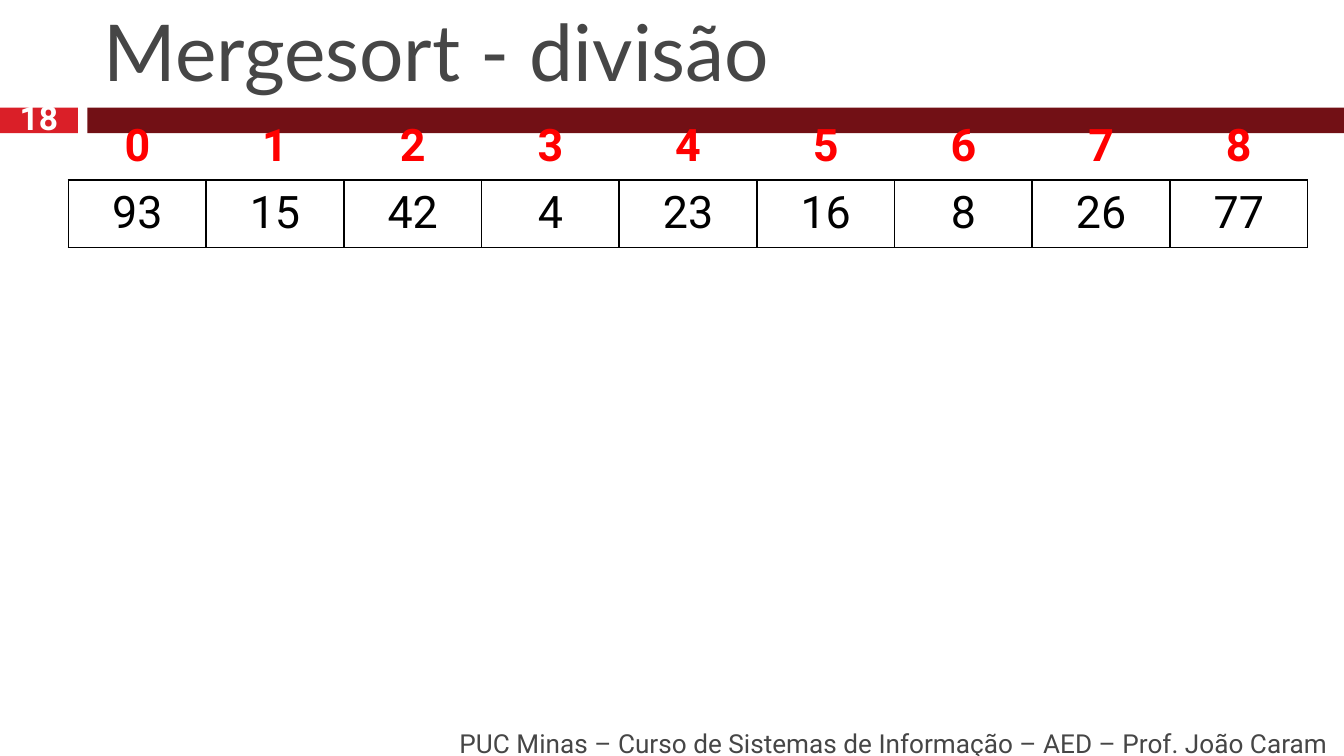
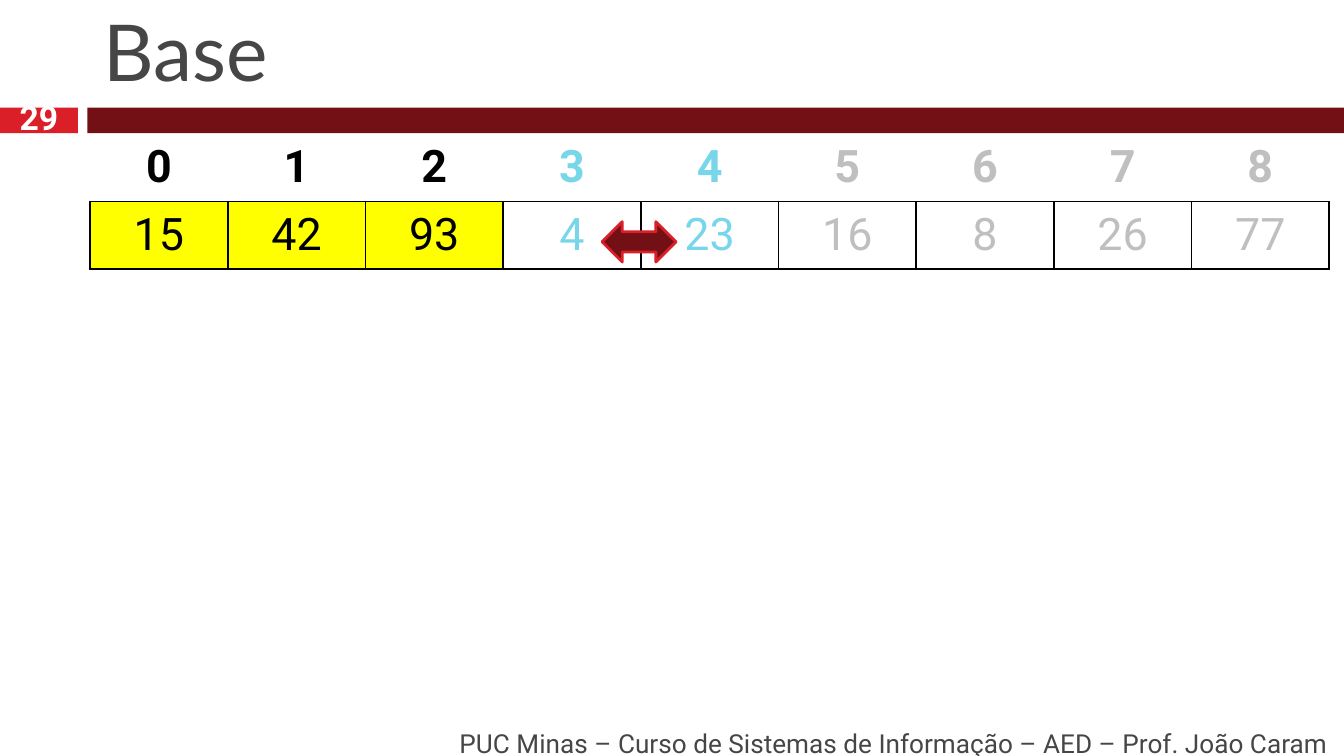
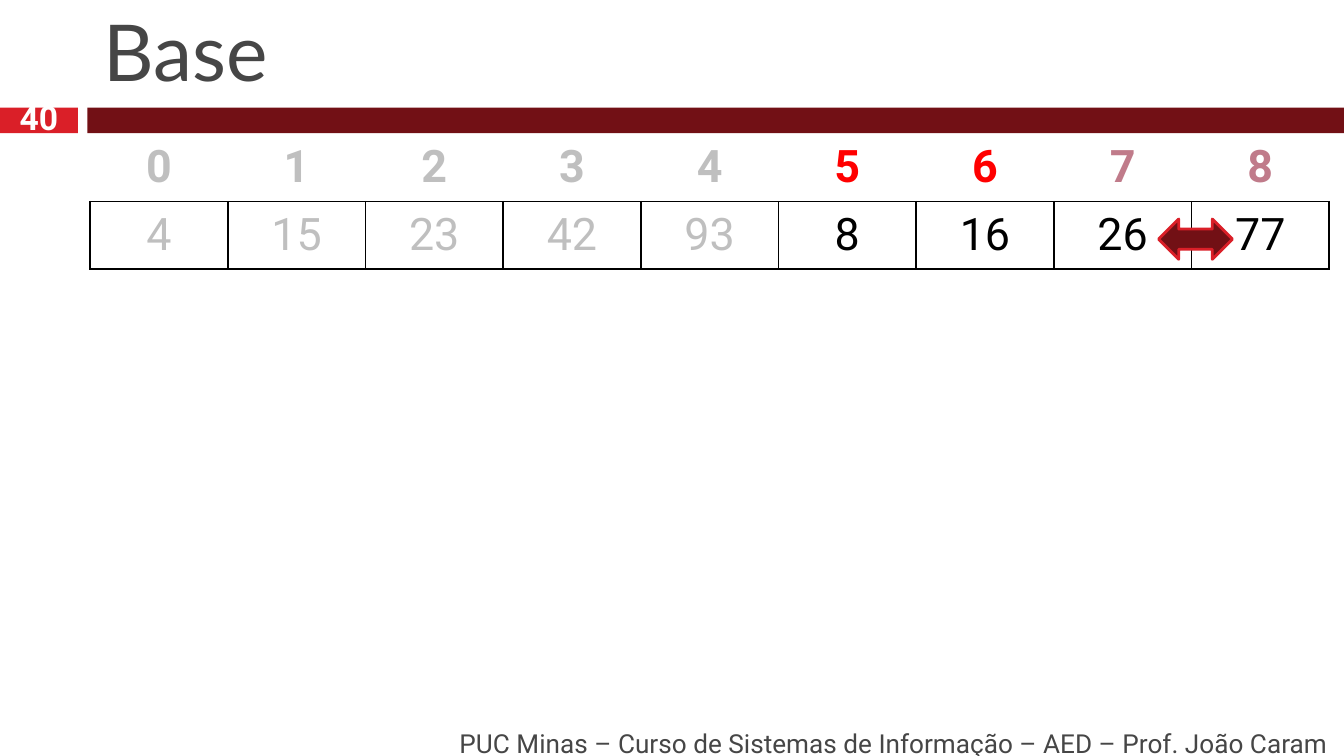
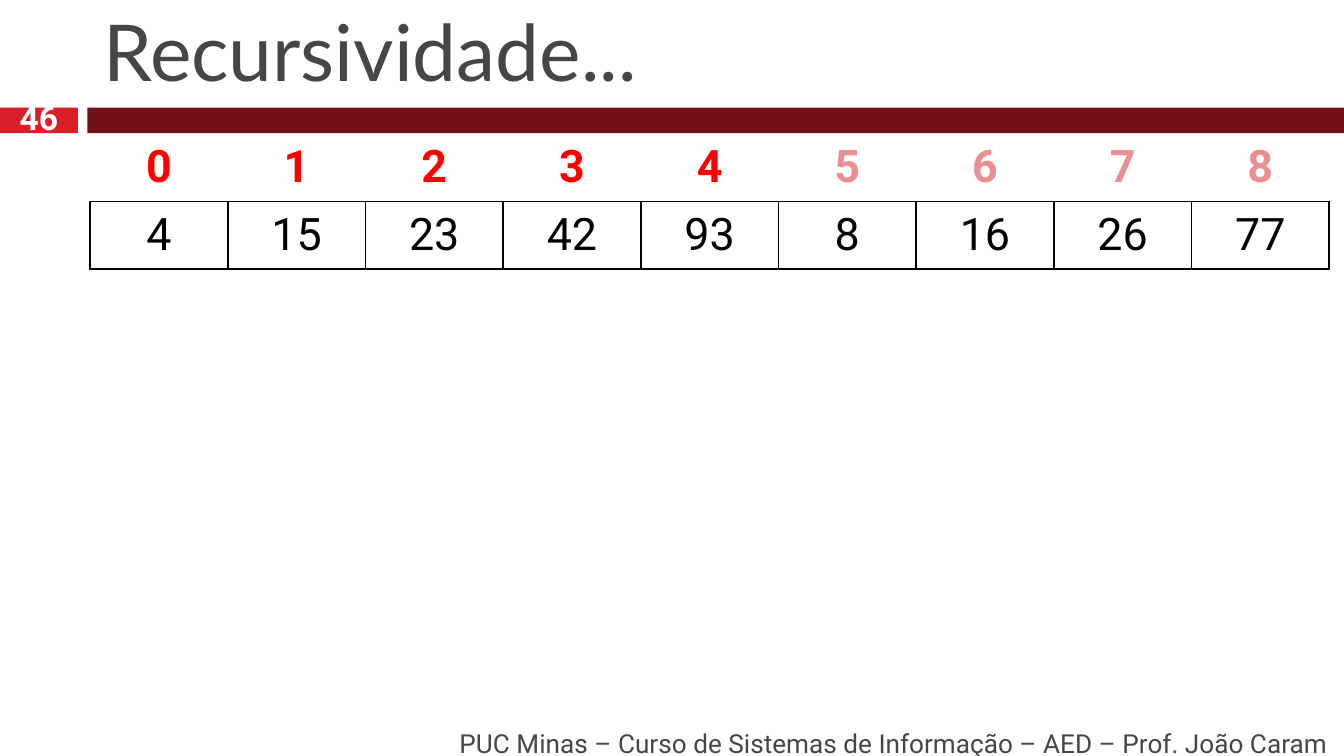
from dataclasses import dataclass
from typing import Optional

from lxml.etree import SubElement
from pptx import Presentation
from pptx.dml.color import RGBColor
from pptx.enum.shapes import MSO_SHAPE
from pptx.enum.text import MSO_ANCHOR, MSO_AUTO_SIZE, PP_ALIGN
from pptx.oxml.ns import qn
from pptx.util import Inches, Pt

BLACK = RGBColor(0x00, 0x00, 0x00)
WHITE = RGBColor(0xFF, 0xFF, 0xFF)
DARK_GREY = RGBColor(0x46, 0x46, 0x46)
LIGHT_GREY = RGBColor(0xBF, 0xBF, 0xBF)
CRIMSON = RGBColor(0xDA, 0x1F, 0x28)
MAROON = RGBColor(0x72, 0x10, 0x15)
RED = RGBColor(0xFF, 0x00, 0x00)
PINK = RGBColor(0xEC, 0x8F, 0x93)
MAUVE = RGBColor(0xC0, 0x7B, 0x8A)
SKY = RGBColor(0x78, 0xD6, 0xEA)
YELLOW = RGBColor(0xFF, 0xFF, 0x00)

TITLE_FONT = "Lato"
BODY_FONT = "Roboto"
FOOTER = "PUC Minas – Curso de Sistemas de Informação – AED – Prof. João Caram"

SLIDE_WIDTH = Inches(10)
SLIDE_HEIGHT = SLIDE_WIDTH * 9 // 16
ARRAY_WIDTH = Inches(9.22)
ARRAY_HEIGHT = Inches(1)
ROW_HEIGHT = Inches(0.41)
BORDER_WIDTH = Pt(1)


@dataclass(frozen=True)
class Box:
    left: float
    top: float
    width: float
    height: float

    def lengths(self) -> tuple:
        return tuple(map(Inches, (self.left, self.top, self.width, self.height)))


@dataclass(frozen=True)
class Step:
    """One state of the array; the colour lists run from left to right."""
    title: str
    number: int
    values: list[int]
    index_colors: list[RGBColor]
    value_colors: list[RGBColor]
    left: float = 0.67
    top: float = 1.0
    sorted_count: int = 0
    swap: Optional[Box] = None


NUMBER_BAND = Box(0, 0.8, 0.58, 0.19)
TITLE_BAND = Box(0.65, 0.8, 9.35, 0.19)
TITLE_BOX = Box(0.67, 0.13, 9.22, 0.64)
FOOTER_BOX = Box(1.06, 5.38, 8.92, 0.3)
NUMBER_BOX = Box(0, 0.77, 0.58, 0.2)

SWAP_COLORS = [BLACK] * 3 + [SKY] * 2 + [LIGHT_GREY] * 4

STEPS = [
    Step("Mergesort - divisão", 18, [93, 15, 42, 4, 23, 16, 8, 26, 77],
         [RED] * 9, [BLACK] * 9, left=0.51, top=0.84),
    Step("Base", 29, [15, 42, 93, 4, 23, 16, 8, 26, 77],
         SWAP_COLORS, SWAP_COLORS,
         sorted_count=3, swap=Box(4.48, 1.65, 0.55, 0.3)),
    Step("Base", 40, [4, 15, 23, 42, 93, 8, 16, 26, 77],
         [LIGHT_GREY] * 5 + [RED] * 2 + [MAUVE] * 2,
         [LIGHT_GREY] * 5 + [BLACK] * 4,
         swap=Box(8.62, 1.63, 0.55, 0.3)),
    Step("Recursividade...", 46, [4, 15, 23, 42, 93, 8, 16, 26, 77],
         [RED] * 5 + [PINK] * 4, [BLACK] * 9),
]


def write(frame, text: str, *, size: float, color: RGBColor,
          font: str = BODY_FONT, bold: bool = False,
          align: PP_ALIGN = PP_ALIGN.CENTER) -> None:
    paragraph = frame.paragraphs[0]
    paragraph.alignment = align
    run = paragraph.add_run()
    run.text = text
    run.font.name = font
    run.font.size = Pt(size)
    run.font.bold = bold
    run.font.color.rgb = color


def add_text(slide, box: Box, text: str, **style) -> None:
    frame = slide.shapes.add_textbox(*box.lengths()).text_frame
    frame.word_wrap = True
    frame.vertical_anchor = MSO_ANCHOR.MIDDLE
    write(frame, text, **style)


def add_filled(slide, preset: MSO_SHAPE, box: Box, fill: RGBColor,
               outline: Optional[RGBColor] = None) -> None:
    shape = slide.shapes.add_shape(preset, *box.lengths())
    shape.shadow.inherit = False
    shape.fill.solid()
    shape.fill.fore_color.rgb = fill
    if outline is None:
        shape.line.fill.background()
    else:
        shape.line.color.rgb = outline
        shape.line.width = Pt(1.5)


def set_borders(cell, visible_sides: str) -> None:
    """Draw the sides named among L, R, T and B, and clear the others."""
    properties = cell._tc.get_or_add_tcPr()
    for side in "LRTB":
        border = SubElement(properties, qn(f"a:ln{side}"), w=str(BORDER_WIDTH))
        if side in visible_sides:
            fill = SubElement(border, qn("a:solidFill"))
            SubElement(fill, qn("a:srgbClr"), val=str(BLACK))
        else:
            SubElement(border, qn("a:noFill"))


def fill_cell(cell, text: str, color: RGBColor, *, sides: str,
              bold: bool = False, background: Optional[RGBColor] = None) -> None:
    set_borders(cell, sides)
    if background is None:
        cell.fill.background()
    else:
        cell.fill.solid()
        cell.fill.fore_color.rgb = background
    write(cell.text_frame, text, size=24, color=color, bold=bold)


def add_array(slide, step: Step) -> None:
    count = len(step.values)
    frame = slide.shapes.add_table(2, count, Inches(step.left), Inches(step.top),
                                   ARRAY_WIDTH, ARRAY_HEIGHT)
    table = frame.table
    table.first_row = False
    table.horz_banding = False
    for row in table.rows:
        row.height = ROW_HEIGHT
    frame.height = ARRAY_HEIGHT
    for index, value in enumerate(step.values):
        fill_cell(table.cell(0, index), str(index), step.index_colors[index],
                  sides="B", bold=True)
        fill_cell(table.cell(1, index), str(value), step.value_colors[index],
                  sides="LRTB",
                  background=YELLOW if index < step.sorted_count else None)


def add_title(slide, text: str) -> None:
    title = slide.shapes.title
    title.left, title.top, title.width, title.height = TITLE_BOX.lengths()
    frame = title.text_frame
    frame.auto_size = MSO_AUTO_SIZE.NONE
    frame.vertical_anchor = MSO_ANCHOR.BOTTOM
    write(frame, text, size=42, color=DARK_GREY, font=TITLE_FONT,
          align=PP_ALIGN.LEFT)


def add_step(presentation, step: Step) -> None:
    slide = presentation.slides.add_slide(presentation.slide_layouts[5])
    add_filled(slide, MSO_SHAPE.RECTANGLE, NUMBER_BAND, CRIMSON)
    add_filled(slide, MSO_SHAPE.RECTANGLE, TITLE_BAND, MAROON)
    add_title(slide, step.title)
    add_text(slide, FOOTER_BOX, FOOTER, size=14, color=DARK_GREY,
             align=PP_ALIGN.RIGHT)
    add_text(slide, NUMBER_BOX, str(step.number), size=18, color=WHITE, bold=True)
    add_array(slide, step)
    if step.swap:
        add_filled(slide, MSO_SHAPE.LEFT_RIGHT_ARROW, step.swap, MAROON, CRIMSON)


def main() -> None:
    presentation = Presentation()
    presentation.slide_width = SLIDE_WIDTH
    presentation.slide_height = SLIDE_HEIGHT
    for step in STEPS:
        add_step(presentation, step)
    presentation.save("out.pptx")


if __name__ == "__main__":
    main()
